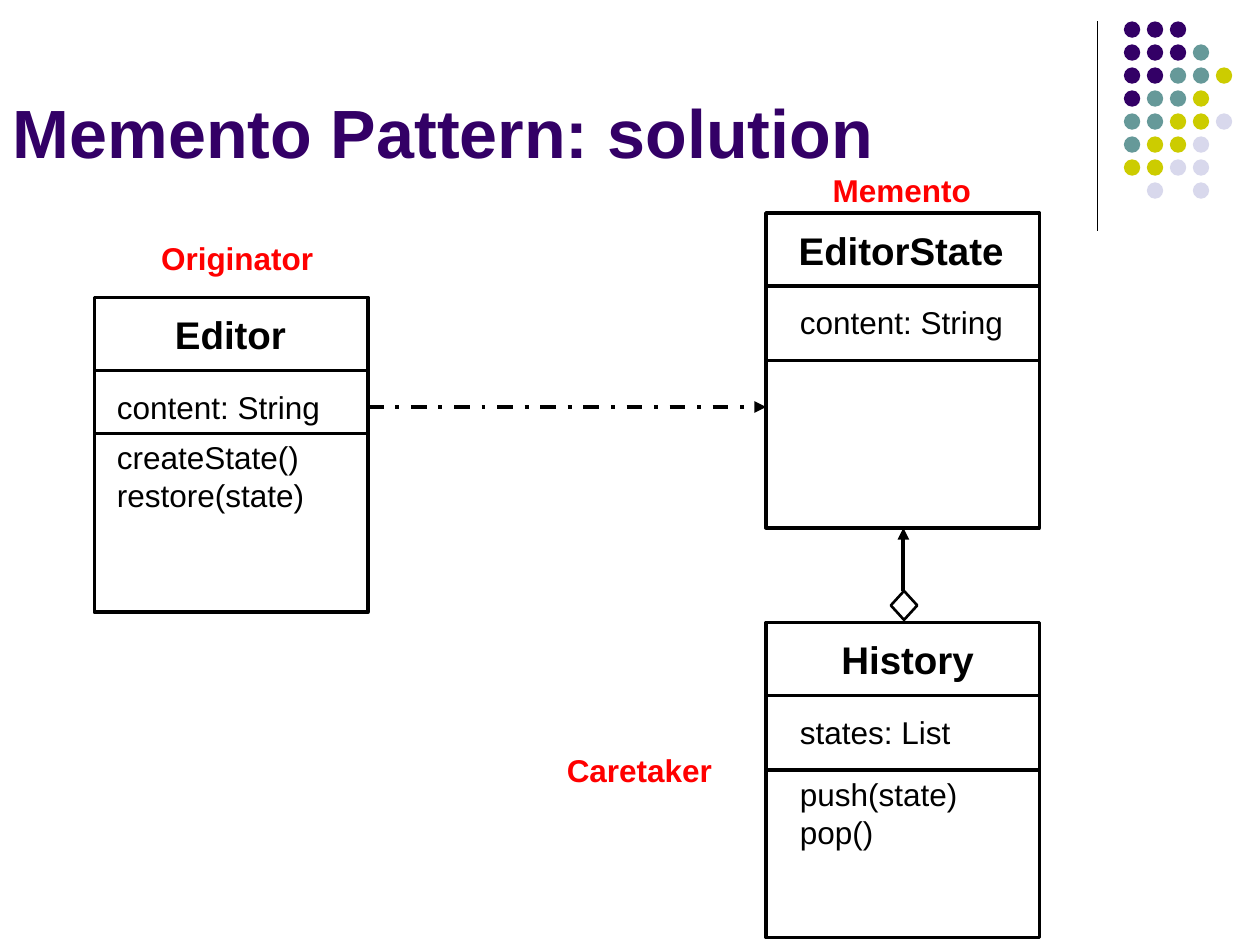
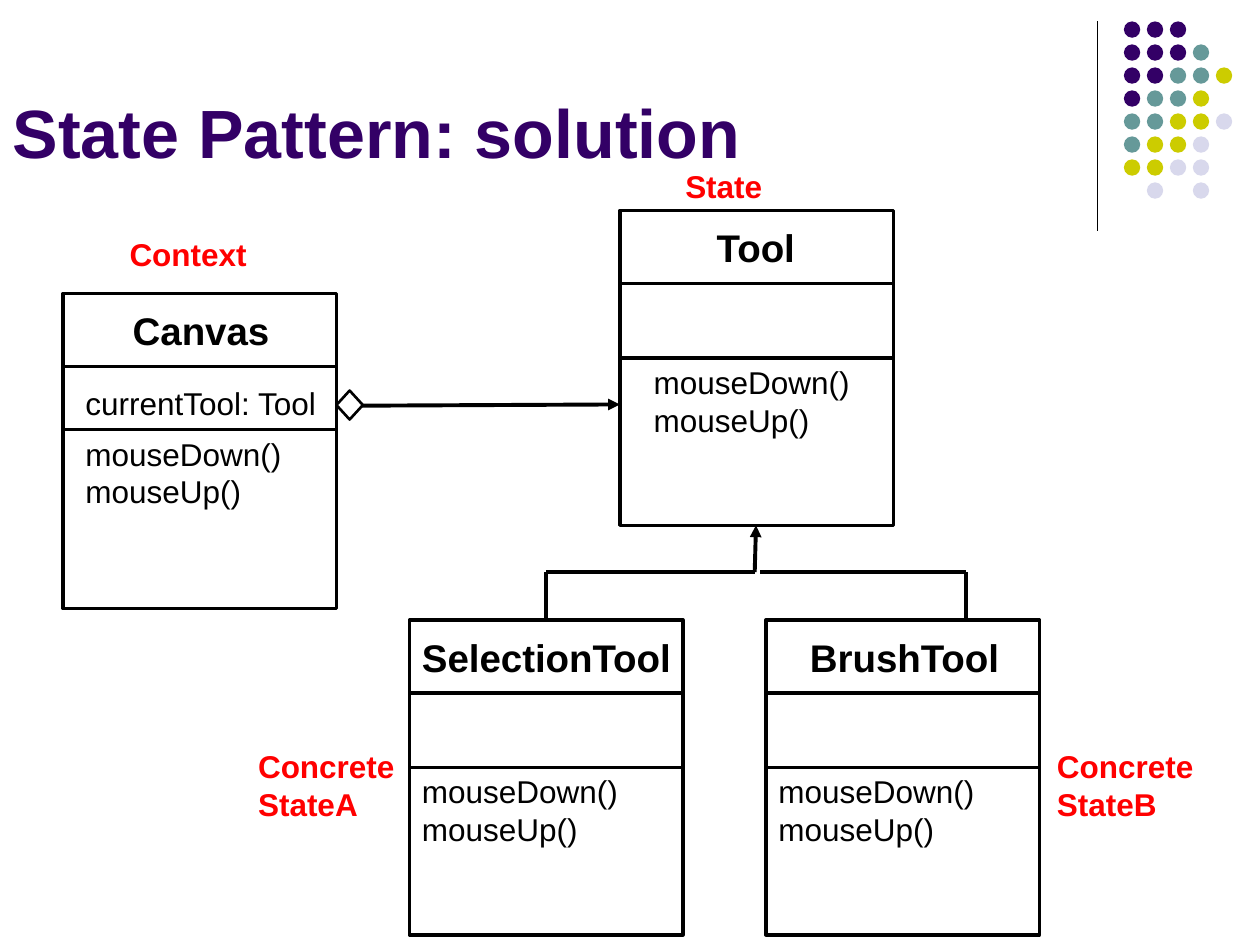
"""Build two class diagrams: the Memento and State patterns."""
from dataclasses import dataclass, field
from typing import Any

from lxml import etree
from pptx import Presentation
from pptx.dml.color import RGBColor as Rgb
from pptx.enum import dml, shapes, text
from pptx.oxml import ns
from pptx.util import Inches, Pt


@dataclass(frozen=True)
class Theme:
    """Colours, font and sizes in points."""
    ink: str = "000000"
    head: str = "330066"
    role: str = "FF0000"
    face: str = "Arial"
    title: float = 39
    name: float = 22
    body: float = 18
    thin: float = 0.75
    edge: float = 1.5
    frame: float = 2
    link: float = 2.25
    dots: dict[str, str] = field(default_factory=lambda: {
        "P": "330066", "T": "669999", "Y": "CCCC00", "L": "D8D8EC"})


THEME = Theme()
BOX_W, BOX_H = 2.17, 2.5
NAME_H, LINE_H, PAIR_H = 0.47, 0.4, 0.71
DOT, STEP = 0.13, 0.73 / 4
DOT_ROWS = ("PPP", "PPPT", "PPTTY", "PTTY", "TTYYL", "TYYL", "YYLL", " L L")


@dataclass(frozen=True)
class Class:
    """A class box; offsets run from its left and top edges."""
    left: float
    top: float
    name: str
    name_w: float
    data: str = ""
    data_w: float = 0
    calls: str = ""
    calls_w: float = 0
    inset: float = 0.17
    split: float = 1.17
    nudge: float = 0


@dataclass(frozen=True)
class Role:
    """A red label that names the part a class plays."""
    left: float
    top: float
    width: float
    words: str


@dataclass(frozen=True)
class Link:
    """A line between two points."""
    start: tuple[float, float]
    end: tuple[float, float]
    arrow: bool = False
    dash: bool = False


@dataclass(frozen=True)
class Page:
    """All that one slide shows."""
    title: str
    boxes: list[Class]
    roles: list[Role]
    links: list[Link]
    gem: tuple[float, float]


MOUSE = "mouseDown()\nmouseUp()"
PAGES = [
    Page(
        "Memento Pattern: solution",
        [Class(0.75, 2.36, "Editor", 1.09, "content: String", 1.83,
               "createState()\nrestore(state)", 1.7, 0.08, 1.08),
         Class(6.08, 1.69, "EditorState", 1.85, "content: String", 1.83),
         Class(6.08, 4.94, "History", 1.27, "states: List", 1.41,
               "push(state)\npop()", 1.46, nudge=0.05)],
        [Role(1.18, 1.85, 1.42, "Originator"),
         Role(6.51, 1.31, 1.31, "Memento"),
         Role(4.4, 5.91, 1.37, "Caretaker")],
        [Link((7.17, 4.69), (7.17, 4.19), arrow=True),
         Link((2.92, 3.23), (6.08, 3.23), arrow=True, dash=True)],
        (7.07, 4.69)),
    Page(
        "State Pattern: solution",
        [Class(0.5, 2.33, "Canvas", 1.3, "currentTool: Tool", 2.05,
               MOUSE, 1.77, 0.08, 1.08, 0.02),
         Class(4.92, 1.67, "Tool", 0.83, calls=MOUSE, calls_w=1.77),
         Class(3.25, 4.92, "SelectionTool", 2.21, calls=MOUSE, calls_w=1.77,
               inset=0, nudge=0.02),
         Class(6.08, 4.92, "BrushTool", 1.73, calls=MOUSE, calls_w=1.77,
               inset=0, nudge=0.03)],
        [Role(0.93, 1.82, 1.14, "Context"),
         Role(5.34, 1.28, 0.82, "State"),
         Role(1.95, 5.88, 1.3, "Concrete\nStateA"),
         Role(8.29, 5.88, 1.3, "Concrete\nStateB")],
        [Link((2.87, 3.22), (4.92, 3.21), arrow=True),
         Link((5.99, 4.54), (6, 4.17), arrow=True),
         Link((5.99, 4.54), (4.33, 4.54)),
         Link((4.33, 4.54), (4.33, 4.92)),
         Link((7.67, 4.54), (6.03, 4.54)),
         Link((7.67, 4.54), (7.67, 4.92))],
        (2.67, 3.1)),
]


def apply(item: Any, looks: dict[str, Any]) -> None:
    """Set each format value on an object."""
    for key, value in looks.items():
        setattr(item, key, value)


def style(frame: Any, words: str, size: float, tint: str, bold: bool) -> None:
    """Write words, one paragraph a line, in a single style."""
    frame.text = words
    for para in frame.paragraphs:
        para.alignment = text.PP_ALIGN.LEFT
        for run in para.runs:
            apply(run.font, {"name": THEME.face, "size": Pt(size), "bold": bold})
            run.font.color.rgb = Rgb.from_string(tint)


def label(slide: Any, left: float, top: float, width: float, words: str,
          size: float = THEME.body, tint: str = THEME.ink,
          bold: bool = False) -> None:
    """Add a text box that does not wrap."""
    high = NAME_H if size == THEME.name else PAIR_H if "\n" in words else LINE_H
    box = slide.shapes.add_textbox(
        Inches(left), Inches(top), Inches(width), Inches(high))
    style(box.text_frame, words, size, tint, bold)
    apply(box.text_frame, {
        "word_wrap": False, "auto_size": text.MSO_AUTO_SIZE.SHAPE_TO_FIT_TEXT})


def line(slide: Any, link: Link, width: float) -> Any:
    """Draw a plain, dashed or arrowed line."""
    rule = slide.shapes.add_connector(
        shapes.MSO_CONNECTOR.STRAIGHT,
        *(Inches(n) for n in link.start + link.end))
    rule.line.color.rgb = Rgb.from_string(THEME.ink)
    rule.line.width = Pt(width)
    if link.dash:
        rule.line.dash_style = dml.MSO_LINE.DASH_DOT
    props = rule.element.spPr
    if link.arrow:
        etree.SubElement(props.find(ns.qn("a:ln")), ns.qn("a:tailEnd"),
                         type="triangle")
    etree.SubElement(props, ns.qn("a:effectLst"))
    return rule


def shape(slide: Any, kind: Any, left: float, top: float, width: float,
          high: float, edge: float = 0, fill: str = "") -> Any:
    """Add a preset shape that has either an edge or a fill."""
    form = slide.shapes.add_shape(
        kind, Inches(left), Inches(top), Inches(width), Inches(high))
    form.shadow.inherit = False
    if fill:
        form.fill.solid()
        form.fill.fore_color.rgb = Rgb.from_string(fill)
        form.line.fill.background()
    else:
        form.fill.background()
        form.line.color.rgb = Rgb.from_string(THEME.ink)
        form.line.width = Pt(edge)
    return form


def draw_class(slide: Any, box: Class) -> None:
    """Draw a class box with its name, data and calls."""
    shape(slide, shapes.MSO_SHAPE.RECTANGLE, box.left, box.top,
          BOX_W, BOX_H, THEME.frame)
    for drop in (0.58, box.split):
        y = box.top + drop
        line(slide, Link((box.left, y), (box.left + BOX_W, y)), THEME.frame)
    label(slide, box.left + (BOX_W - box.name_w) / 2 + box.nudge,
          box.top + 0.06, box.name_w, box.name, THEME.name, bold=True)
    x = box.left + box.inset
    if box.data:
        label(slide, x, box.top + 0.67, box.data_w, box.data)
    if box.calls:
        label(slide, x, box.top + box.split - 0.01, box.calls_w, box.calls)


def set_layout(layout: Any, slide: Any) -> None:
    """Place the title and move the dot motif to the layout."""
    title = next(p for p in layout.placeholders
                 if p.placeholder_format.type == shapes.PP_PLACEHOLDER.TITLE)
    apply(title, {"left": 0, "top": 0,
                  "width": Inches(8.25), "height": Inches(1.42)})
    parts = [line(slide, Link((8.71, 0.17), (8.71, 1.83)), THEME.thin)]
    for row, codes in enumerate(DOT_ROWS):
        for col, code in enumerate(codes):
            if code in THEME.dots:
                parts.append(shape(
                    slide, shapes.MSO_SHAPE.OVAL, 8.92 + col * STEP,
                    0.17 + row * STEP, DOT, DOT, fill=THEME.dots[code]))
    for part in parts:
        layout.shapes.element.append(part.element)


def draw_page(slide: Any, page: Page) -> None:
    """Fill one slide."""
    frame = slide.shapes.title.text_frame
    style(frame, page.title, THEME.title, THEME.head, True)
    apply(frame, {"vertical_anchor": text.MSO_ANCHOR.BOTTOM,
                  "auto_size": text.MSO_AUTO_SIZE.NONE})
    for box in page.boxes:
        draw_class(slide, box)
    shape(slide, shapes.MSO_SHAPE.DIAMOND, *page.gem, 0.21, 0.23, THEME.edge)
    for link in page.links:
        line(slide, link, THEME.link)
    for role in page.roles:
        label(slide, role.left, role.top, role.width, role.words,
              tint=THEME.role, bold=True)


def main() -> None:
    """Build and save the deck."""
    deck = Presentation()
    apply(deck, {"slide_width": Inches(10), "slide_height": Inches(7.5)})
    layout = deck.slide_layouts.get_by_name("Title Only")
    for count, page in enumerate(PAGES):
        slide = deck.slides.add_slide(layout)
        if count == 0:
            set_layout(layout, slide)
        draw_page(slide, page)
    deck.save("out.pptx")


main()
